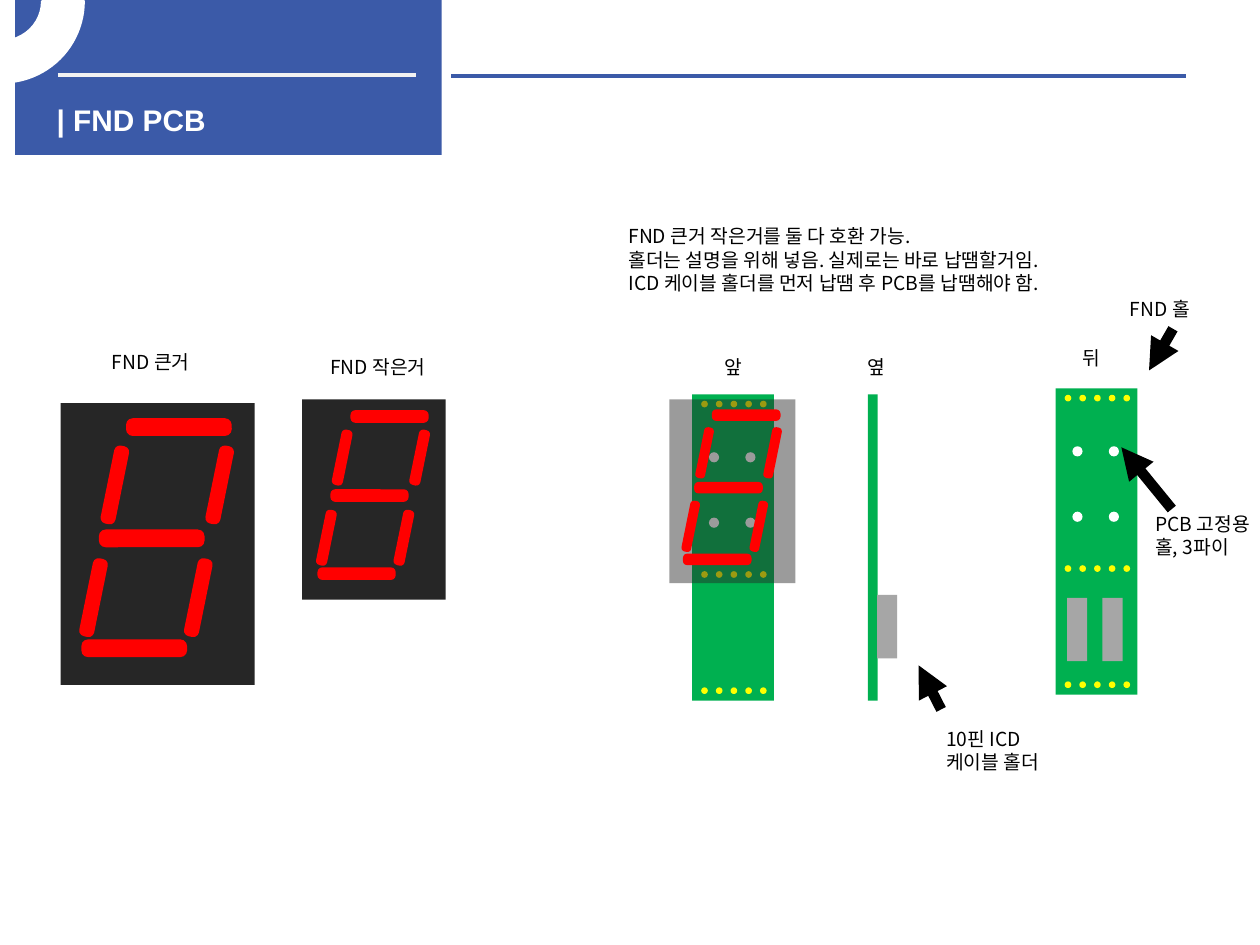
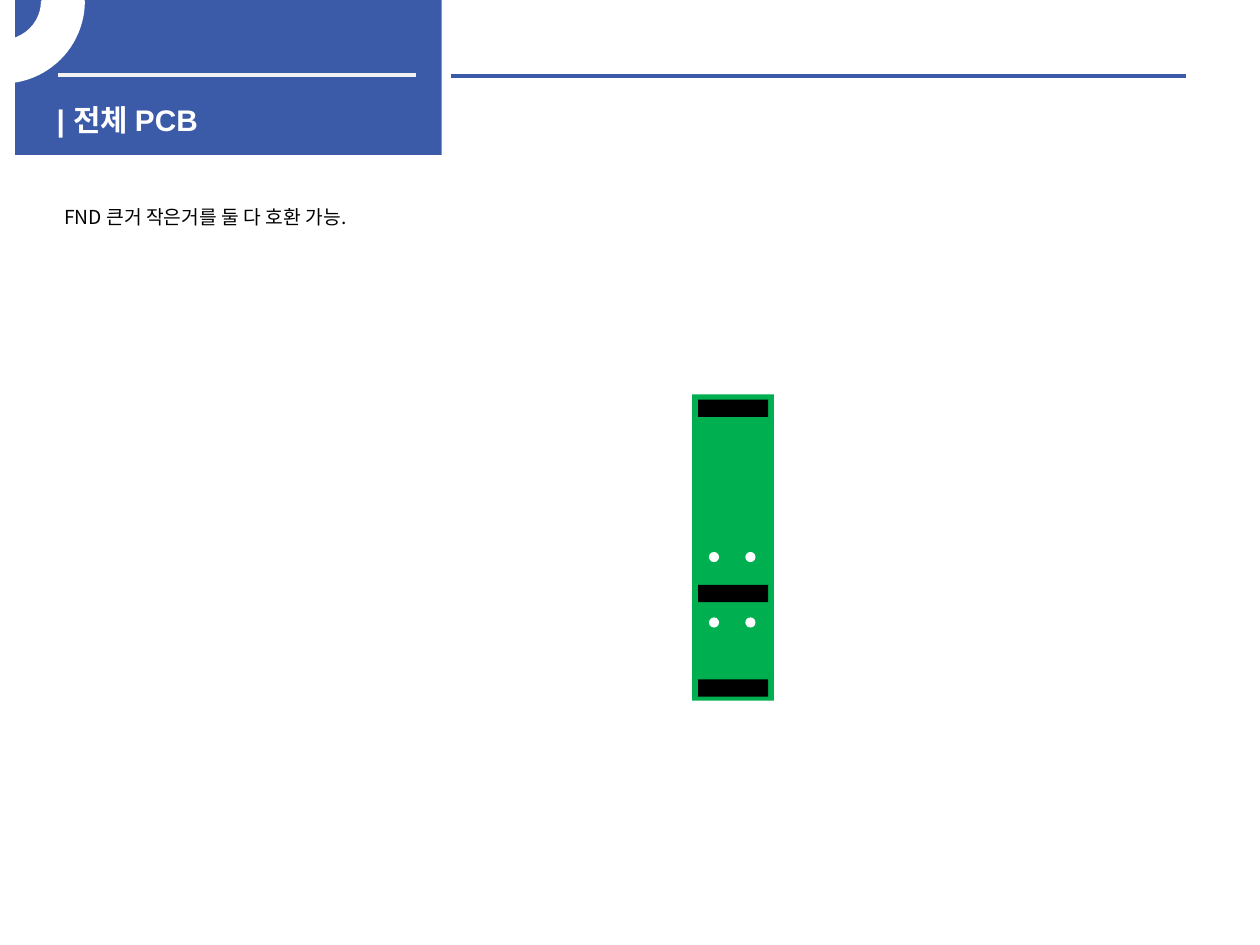
from collections import namedtuple
from dataclasses import dataclass
from itertools import product

from lxml import etree
from pptx import Presentation
from pptx import util as u
from pptx.dml.color import RGBColor
from pptx.enum import shapes, text
from pptx.oxml.ns import qn

Box = namedtuple("Box", "left top width height")


@dataclass(frozen=True)
class Theme:
    brand: str = "3B5AA8"
    pale: str = "F2F2F2"
    white: str = "FFFFFF"
    black: str = "000000"
    housing: str = "262626"
    segment: str = "FF0000"
    board: str = "00B050"
    pin: str = "FFFF00"
    holder: str = "A6A6A6"
    title_font: str = "Arial"
    body_font: str = "Noto Sans CJK KR"
    title_size: float = 17
    body_size: float = 11
    body_leading: float = 13.4
    rule_width: float = 2.25
    arrow_width: float = 6


THEME = Theme()
KIND = shapes.MSO_SHAPE
BOARD_WIDTH, BOARD_HEIGHT = 46.8, 175


def in_points(values):
    return [u.Pt(value) for value in values]


def rgb(color):
    return RGBColor.from_string(color)


def add_block(parent, box, color, kind=KIND.RECTANGLE, rotation=0):
    shape = parent.add_shape(kind, *in_points(box))
    shape.shadow.inherit = False
    shape.fill.solid()
    shape.fill.fore_color.rgb = rgb(color)
    shape.line.fill.background()
    shape.rotation = rotation
    return shape


def add_line(parent, ends, color, width, arrow=False):
    line = parent.add_connector(shapes.MSO_CONNECTOR.STRAIGHT, *in_points(ends))
    line.line.color.rgb = rgb(color)
    line.line.width = u.Pt(width)
    properties = line.element.spPr
    if arrow:
        etree.SubElement(properties.find(qn("a:ln")), qn("a:tailEnd"), type="triangle")
    etree.SubElement(properties, qn("a:effectLst"))


def format_span(span, font, size, color, bold):
    span.font.name = font
    span.font.size = u.Pt(size)
    span.font.bold = bold
    span.font.color.rgb = rgb(color)
    latin = span.font._element.find(qn("a:latin"))
    east = etree.Element(qn("a:ea"), typeface=THEME.body_font)
    latin.addnext(east)


def add_note(page, words, box):
    note = page.shapes.add_textbox(*in_points(box))
    frame = note.text_frame
    frame.word_wrap = True
    frame.auto_size = text.MSO_AUTO_SIZE.SHAPE_TO_FIT_TEXT
    frame.text = words
    for para in frame.paragraphs:
        para.line_spacing = u.Pt(THEME.body_leading)
        for span in para.runs:
            format_span(span, THEME.body_font, THEME.body_size, THEME.black, False)


def add_header(page, words, box):
    add_block(page.shapes, box, THEME.brand)
    rule_top = box.top + 42.7
    add_line(page.shapes, (box.left + 24.5, rule_top, box.left + 229, rule_top),
             THEME.pale, THEME.rule_width)
    add_line(page.shapes, (box.left + 249.2, rule_top + 0.5, box.left + 669, rule_top + 0.5),
             THEME.brand, THEME.rule_width)

    title = page.shapes.title
    title.left, title.top, title.width, title.height = in_points(
        (box.left + 16.6, box.top + 54.7, 232.6, 21.6))
    frame = title.text_frame
    frame.text = words
    frame.word_wrap = True
    frame.auto_size = text.MSO_AUTO_SIZE.NONE
    frame.vertical_anchor = text.MSO_ANCHOR.TOP
    para = frame.paragraphs[0]
    para.alignment = text.PP_ALIGN.LEFT
    format_span(para.runs[0], THEME.title_font, THEME.title_size, THEME.white, True)
    title.element.getparent().append(title.element)

    arc = add_block(page.shapes, Box(box.left - 54, box.top - 45.4, 92.9, 92.2),
                    THEME.white, KIND.BLOCK_ARC)
    for index, value in enumerate((96.95, 0, 0.25)):
        arc.adjustments[index] = value
    arc.line.color.rgb = rgb(THEME.white)
    arc.line.width = u.Pt(2)
    arc.element.spPr.find(qn("a:xfrm")).set("flipV", "1")


def add_segment(parent, center_x, center_y, length, thickness, rotation=0):
    box = Box(center_x - length / 2, center_y - thickness / 2, length, thickness)
    bar = add_block(parent, box, THEME.segment, KIND.ROUNDED_RECTANGLE, rotation)
    bar.adjustments[0] = 0.38


def add_display(page, box, opacity=100):
    parent = page.shapes.add_group_shape().shapes
    housing = add_block(parent, box, THEME.housing)
    if opacity < 100:
        color = housing.element.spPr.find(qn("a:solidFill"))[0]
        etree.SubElement(color, qn("a:alpha"), val=str(opacity * 1000))
    for x, y in ((0.61, 0.085), (0.47, 0.48), (0.38, 0.87)):
        add_segment(parent, box.left + x * box.width, box.top + y * box.height,
                    0.545 * box.width, 0.063 * box.height)
    for (x, y), shift in product(((0.17, 0.69), (0.28, 0.29)), (0, 0.54)):
        add_segment(parent, box.left + (x + shift) * box.width, box.top + y * box.height,
                    0.282 * box.height, 0.078 * box.width, 281.5)


def add_board(page, box, holes_top):
    parent = page.shapes.add_group_shape().shapes
    add_block(parent, box, THEME.board)
    for row, column in product(range(2), range(2)):
        hole = Box(box.left + 9.6 + column * 20.8, box.top + holes_top + row * 37.4, 5.8, 5.8)
        add_block(parent, hole, THEME.white, KIND.OVAL)
    return parent


def add_pin_rows(parent, box):
    for row_top, column in product((3.6, 101, 167.4), range(5)):
        pin = Box(box.left + 5.2 + column * 8.4, box.top + row_top, 3.8, 3.8)
        add_block(parent, pin, THEME.pin, KIND.OVAL)


def add_front_view(page, box):
    add_pin_rows(add_board(page, box, 33), box)
    add_display(page, Box(box.left - 13, box.top + 2.9, 72, 105), opacity=46)


def add_side_view(page, box):
    add_block(page.shapes, box, THEME.board)
    add_block(page.shapes, Box(box.left + box.width - 0.4, box.top + 114.6, 11.5, 36.2),
              THEME.holder)


def add_back_view(page, box):
    parent = add_board(page, box, 33)
    add_pin_rows(parent, box)
    for column in range(2):
        holder = Box(box.left + 6.6 + column * 20.2, box.top + 119.6, 11.5, 36.2)
        add_block(parent, holder, THEME.holder)


def add_socket_board(page, box):
    parent = add_board(page, box, 90)
    for socket_top in (3, 108.8, 162.8):
        add_block(parent, Box(box.left + 3.4, box.top + socket_top, 40, 9.9), THEME.black)


def add_page(deck, words):
    page = deck.slides.add_slide(deck.slide_layouts.get_by_name("Title Only"))
    add_header(page, words, Box(8.6, 0, 243.8, 88.6))
    return page


def build_display_page(deck):
    page = add_page(deck, "| FND PCB")
    add_display(page, Box(34.6, 230.4, 110.9, 161))
    add_display(page, Box(172.6, 228.3, 82, 114.4))
    add_front_view(page, Box(395.5, 225.4, BOARD_WIDTH, BOARD_HEIGHT))
    add_side_view(page, Box(496, 225.4, 5.6, BOARD_HEIGHT))
    add_back_view(page, Box(603.2, 222, BOARD_WIDTH, BOARD_HEIGHT))

    compatibility = "\n".join((
        "FND 큰거 작은거를 둘 다 호환 가능.",
        "홀더는 설명을 위해 넣음. 실제로는 바로 납땜할거임.",
        "ICD 케이블 홀더를 먼저 납땜 후 PCB를 납땜해야 함."))
    notes = (
        ("FND 큰거", Box(56.9, 196.6, 105, 20.9)),
        ("FND 작은거", Box(181.6, 199.4, 105, 20.9)),
        ("FND 홀", Box(638.6, 166.4, 73.4, 20.9)),
        ("앞", Box(406.8, 199.4, 28, 20.9)),
        ("옆", Box(488.9, 199.4, 28, 20.9)),
        ("뒤", Box(611.3, 194.4, 28, 20.9)),
        ("10핀 ICD 케이블 홀더", Box(533.5, 411.8, 73.4, 33.8)),
        ("PCB 고정용\n홀, 3파이", Box(653, 288.8, 73.4, 33.8)),
        (compatibility, Box(352, 124.6, 303.8, 47.5)),
    )
    for words, box in notes:
        add_note(page, words, box)
    for ends in ((537.8, 405.4, 524.9, 380.2),
                 (670.3, 187.9, 656.6, 211.7),
                 (669.6, 290.9, 640.8, 255.6)):
        add_line(page.shapes, ends, THEME.black, THEME.arrow_width, arrow=True)


def build_socket_page(deck):
    page = add_page(deck, "| 전체 PCB")
    add_socket_board(page, Box(395.5, 225.4, BOARD_WIDTH, BOARD_HEIGHT))
    add_note(page, "FND 큰거 작은거를 둘 다 호환 가능.", Box(29.5, 113.8, 303.8, 20.9))


def main():
    deck = Presentation()
    deck.slide_width, deck.slide_height = in_points((720, 540))
    build_display_page(deck)
    build_socket_page(deck)
    deck.save("out.pptx")


if __name__ == "__main__":
    main()
